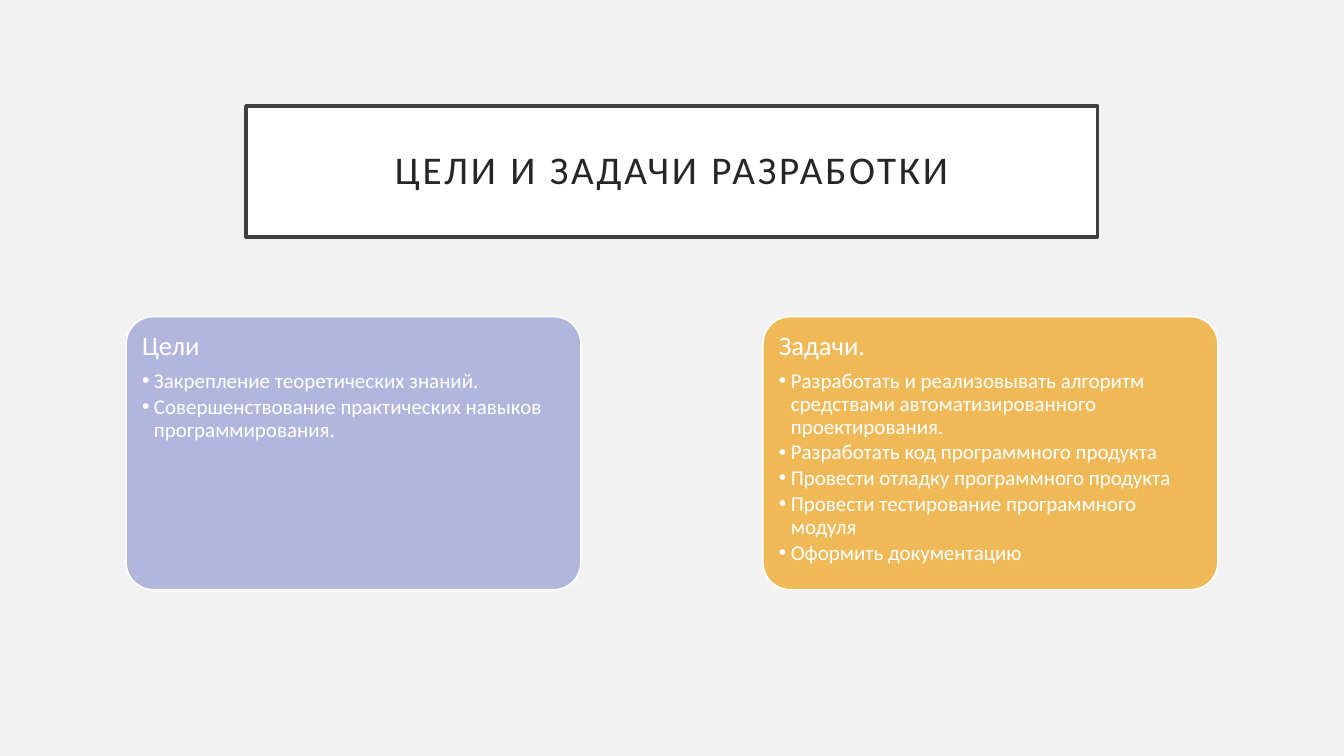
"""Build the slide on the goals and tasks of the development."""
from dataclasses import dataclass

from lxml.etree import SubElement
from pptx import Presentation
from pptx.dml.color import RGBColor
from pptx.enum.shapes import MSO_SHAPE
from pptx.enum.text import MSO_ANCHOR, MSO_AUTO_SIZE, PP_ALIGN
from pptx.oxml.ns import qn
from pptx.shapes.placeholder import SlidePlaceholder
from pptx.slide import Slide
from pptx.text.text import TextFrame, _Paragraph, _Run
from pptx.util import Cm, Length, Pt


@dataclass(frozen=True)
class Theme:
    font: str = "Calibri"
    backdrop: str = "F2F2F2"
    white: str = "FFFFFF"
    frame: str = "404040"
    title_ink: str = "262626"
    lavender: str = "B2B6DC"
    amber: str = "EFB957"
    title_size: float = 28
    heading_size: float = 19
    item_size: float = 15


@dataclass(frozen=True)
class Card:
    heading: str
    items: tuple[str, ...]
    colour: str


THEME = Theme()
TITLE = "ЦЕЛИ И ЗАДАЧИ РАЗРАБОТКИ"
CARDS = (
    Card(
        "Цели",
        (
            "Закрепление теоретических знаний.",
            "Совершенствование практических навыков программирования.",
        ),
        THEME.lavender,
    ),
    Card(
        "Задачи.",
        (
            "Разработать и реализовывать алгоритм средствами автоматизированного проектирования.",
            "Разработать код программного продукта",
            "Провести отладку программного продукта",
            "Провести тестирование программного модуля",
            "Оформить документацию",
        ),
        THEME.amber,
    ),
)
CARD_LEFT, CARD_TOP, CARD_STEP = Cm(3.18), Cm(7.98), Cm(16.05)
CARD_WIDTH, CARD_HEIGHT = Cm(11.46), Cm(6.88)
CARD_PADDING = Cm(0.2)
BULLET_INDENT = Cm(0.3)


def rgb(colour: str) -> RGBColor:
    return RGBColor.from_string(colour)


def place(holder: SlidePlaceholder, left: Length, top: Length, width: Length, height: Length) -> None:
    holder.left, holder.top, holder.width, holder.height = left, top, width, height


def prepare(frame: TextFrame, inset: Length, anchor: MSO_ANCHOR) -> None:
    frame.word_wrap = True
    frame.auto_size = MSO_AUTO_SIZE.NONE
    frame.vertical_anchor = anchor
    frame.margin_left = frame.margin_right = inset
    frame.margin_top = frame.margin_bottom = inset


def write(paragraph: _Paragraph, text: str, size: float, colour: str) -> _Run:
    paragraph.line_spacing = 0.9
    paragraph.space_before = Pt(0)
    run = paragraph.add_run()
    run.text = text
    run.font.name = THEME.font
    run.font.size = Pt(size)
    run.font.color.rgb = rgb(colour)
    return run


def set_bullet(paragraph: _Paragraph, indent: Length, sign: str = "") -> None:
    properties = paragraph._p.get_or_add_pPr()
    properties.set("marL", str(int(indent)))
    properties.set("indent", str(-int(indent)))
    if sign:
        SubElement(properties, qn("a:buChar")).set("char", sign)
    else:
        SubElement(properties, qn("a:buNone"))


def draw_title(slide: Slide) -> None:
    title = slide.shapes.title
    place(title, Cm(6.2), Cm(2.67), Cm(21.46), Cm(3.3))
    title.fill.solid()
    title.fill.fore_color.rgb = rgb(THEME.white)
    title.line.color.rgb = rgb(THEME.frame)
    title.line.width = Pt(2.5)
    prepare(title.text_frame, Cm(0.5), MSO_ANCHOR.MIDDLE)
    caption = title.text_frame.paragraphs[0]
    caption.alignment = PP_ALIGN.CENTER
    run = write(caption, TITLE, THEME.title_size, THEME.title_ink)
    run.font._element.set("spc", "200")


def draw_card(slide: Slide, card: Card, body: SlidePlaceholder, left: Length) -> None:
    panel = slide.shapes.add_shape(
        MSO_SHAPE.ROUNDED_RECTANGLE, left, CARD_TOP, CARD_WIDTH, CARD_HEIGHT
    )
    panel.adjustments[0] = 0.1
    panel.shadow.inherit = False
    panel.fill.solid()
    panel.fill.fore_color.rgb = rgb(card.colour)
    panel.line.color.rgb = rgb(THEME.white)
    panel.line.width = Pt(1)
    panel.element.addnext(body.element)

    place(
        body,
        left + CARD_PADDING,
        CARD_TOP + CARD_PADDING,
        CARD_WIDTH - 2 * CARD_PADDING,
        CARD_HEIGHT - 2 * CARD_PADDING,
    )
    prepare(body.text_frame, CARD_PADDING, MSO_ANCHOR.TOP)
    heading = body.text_frame.paragraphs[0]
    write(heading, card.heading, THEME.heading_size, THEME.white)
    heading.space_after = Pt(0.35 * THEME.heading_size)
    set_bullet(heading, Cm(0))
    for text in card.items:
        item = body.text_frame.add_paragraph()
        item.level = 1
        write(item, text, THEME.item_size, THEME.white)
        item.space_after = Pt(0.15 * THEME.item_size)
        set_bullet(item, BULLET_INDENT, "•")


def main() -> None:
    deck = Presentation()
    deck.slide_width, deck.slide_height = Cm(33.87), Cm(19.05)
    two_content = deck.slide_layouts.get_by_name("Two Content")
    slide = deck.slides.add_slide(two_content)
    slide.background.fill.solid()
    slide.background.fill.fore_color.rgb = rgb(THEME.backdrop)
    draw_title(slide)
    bodies = [slide.placeholders[1], slide.placeholders[2]]
    for column, (card, body) in enumerate(zip(CARDS, bodies)):
        draw_card(slide, card, body, CARD_LEFT + column * CARD_STEP)
    deck.save("out.pptx")


if __name__ == "__main__":
    main()
